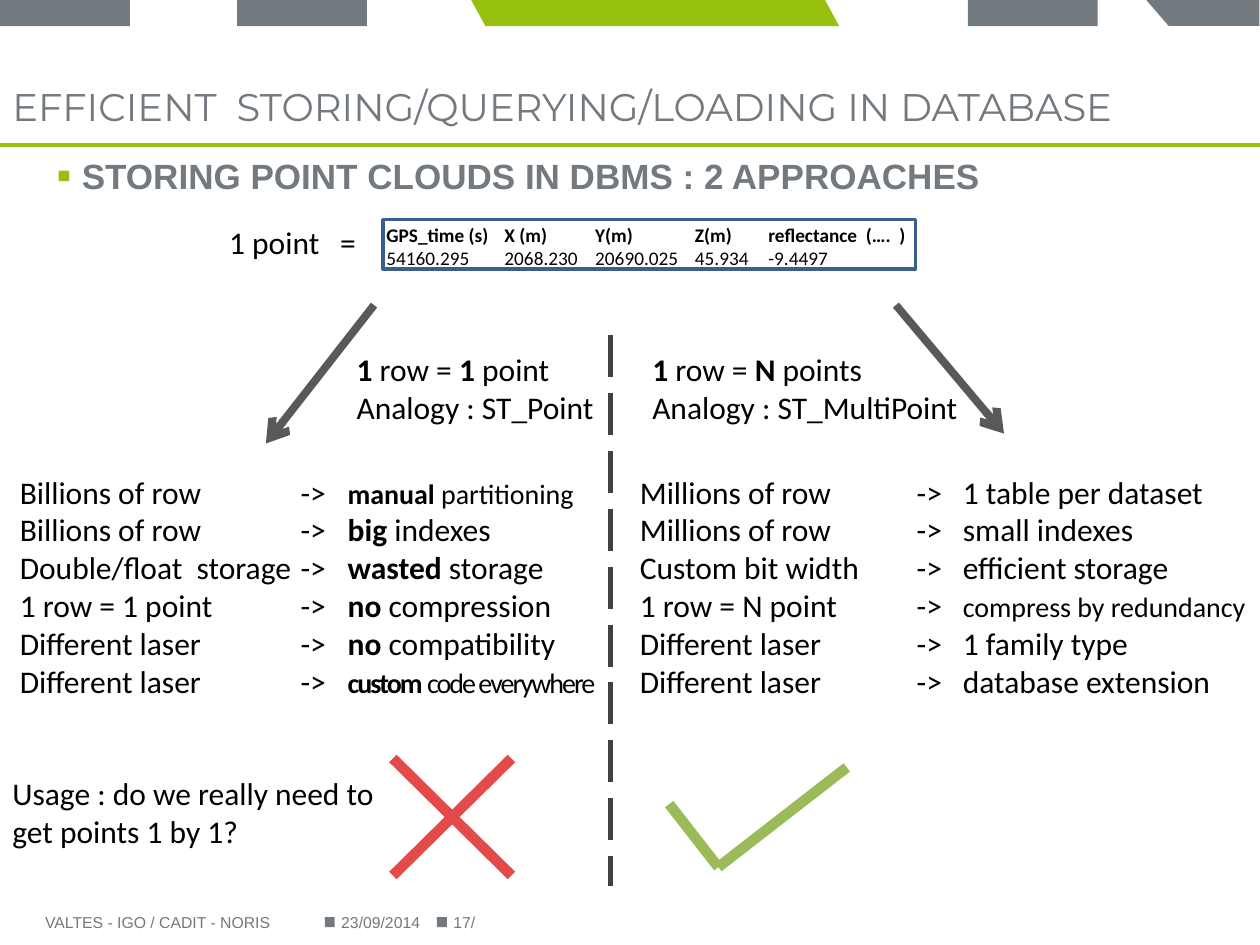
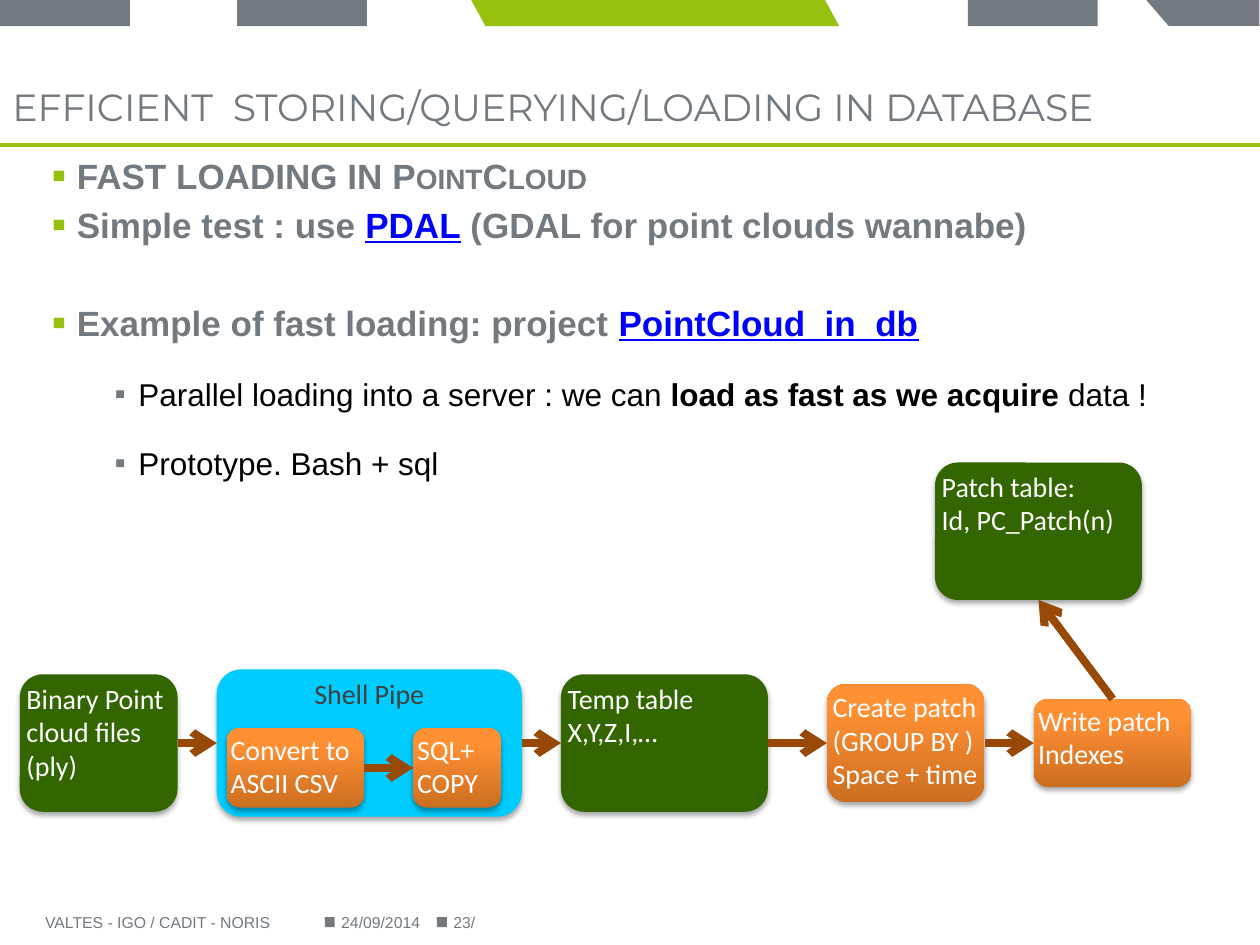
from lxml import etree
from pptx import Presentation
from pptx import util as u
from pptx.dml.color import RGBColor
from pptx.enum import dml, shapes, text
from pptx.oxml import ns

GREY = RGBColor(0x72, 0x79, 0x7F)
LIME = RGBColor(0x97, 0xBF, 0x0D)
BLACK = RGBColor(0, 0, 0)
WHITE = RGBColor(0xFF, 0xFF, 0xFF)
LINK_BLUE = RGBColor(0, 0, 0xFF)
FRAME_BLUE = RGBColor(0x3A, 0x5F, 0x8C)
ARROW_GREY = RGBColor(0x59, 0x59, 0x59)
DARK_GREY = RGBColor(0x40, 0x40, 0x40)
CROSS_RED = RGBColor(0xE4, 0x4A, 0x4A)
CHECK_GREEN = RGBColor(0x9B, 0xBB, 0x59)
TABLE_GREEN = RGBColor(0x33, 0x66, 0)
PIPE_CYAN = RGBColor(0, 0xCC, 0xFF)
STEP_DARK = RGBColor(0xCC, 0x6E, 0x20)
STEP_LIGHT = RGBColor(0xFF, 0x90, 0x34)
FLOW_BROWN = RGBColor(0x98, 0x48, 0x07)

SHAPE = shapes.MSO_SHAPE
MIDDLE = text.MSO_ANCHOR.MIDDLE
TOP, LEFT, BOTTOM, RIGHT = range(4)
BOLD = {"bold": True}
LINK = {"color": LINK_BLUE, "underline": True}
FLOW_MIDDLE = 14.98


def add_xml(parent, tag, **attributes):
    values = {name: str(value) for name, value in attributes.items()}
    return etree.SubElement(parent, ns.qn(tag), values)


def cm(*lengths):
    return [u.Cm(length) for length in lengths]


def add_run(paragraph, words, font, size, color, bold=False, underline=None, **extra):
    run = paragraph.add_run()
    run.text = words
    run.font.name = font
    run.font.size = u.Pt(size)
    run.font.color.rgb = color
    run.font.bold = bold
    run.font.underline = underline
    for name, value in extra.items():
        run.font._element.set(name, value)


def fill_paragraph(paragraph, runs, **style):
    for run in [runs] if isinstance(runs, str) else runs:
        words, changes = (run, {}) if isinstance(run, str) else run
        add_run(paragraph, words, **{**style, **changes})


def write(frame, paragraphs, tabs=(), font="Calibri", size=18, color=BLACK, **style):
    frame.word_wrap = True
    for index, runs in enumerate(paragraphs):
        paragraph = frame.paragraphs[0] if index == 0 else frame.add_paragraph()
        fill_paragraph(paragraph, runs, font=font, size=size, color=color, **style)
        if tabs:
            stops = add_xml(paragraph._p.get_or_add_pPr(), "a:tabLst")
            for tab in tabs:
                add_xml(stops, "a:tab", pos=u.Cm(tab), algn="l")


def clear_margins(frame):
    frame.margin_left = frame.margin_top = frame.margin_right = frame.margin_bottom = 0


def add_text(parent, box, paragraphs, anchor=text.MSO_ANCHOR.TOP, inset=True, **style):
    frame = parent.add_textbox(*cm(*box)).text_frame
    frame.vertical_anchor = anchor
    if not inset:
        clear_margins(frame)
    write(frame, paragraphs, **style)


def add_block(parent, kind, box, color):
    shape = parent.add_shape(kind, *cm(*box))
    shape.shadow.inherit = False
    shape.fill.solid()
    shape.fill.fore_color.rgb = color
    shape.line.fill.background()
    return shape


def add_line(parent, start, end, color, width, dash=None, arrow=False):
    line = parent.add_connector(shapes.MSO_CONNECTOR.STRAIGHT, *cm(*start, *end))
    line.line.color.rgb = color
    line.line.width = u.Pt(width)
    if dash:
        line.line.dash_style = dash
    if arrow:
        add_xml(line.line._get_or_add_ln(), "a:tailEnd", type="arrow")
    add_xml(line._element.spPr, "a:effectLst")
    return line


def add_bullet(frame, runs, level=0, gap=4):
    first = not frame.paragraphs[0].runs
    paragraph = frame.paragraphs[0] if first else frame.add_paragraph()
    size, color, bold = ((20, GREY, True), (18, BLACK, False))[level]
    margin, hanging, percent = ((0.51, 0.51, 120), (1.75, 0.48, 100))[level]
    fill_paragraph(paragraph, runs, font="Arial", size=size, color=color, bold=bold)
    paragraph.level = level
    paragraph.space_before = u.Pt(gap)
    properties = paragraph._p.get_or_add_pPr()
    properties.set("marL", str(u.Cm(margin)))
    properties.set("indent", str(-u.Cm(hanging)))
    bullet_color = add_xml(properties, "a:buClr")
    add_xml(bullet_color, "a:srgbClr", val=(LIME, GREY)[level])
    add_xml(properties, "a:buSzPct", val=percent * 1000)
    add_xml(properties, "a:buFont", typeface="Arial")
    add_xml(properties, "a:buChar", char="▪")


def add_body(slide, box):
    frame = slide.shapes.add_textbox(*cm(*box)).text_frame
    frame.word_wrap = True
    return frame


def start_slide(presentation, title_width, title_size, date, number):
    slide = presentation.slides.add_slide(presentation.slide_layouts[6])
    parent = slide.shapes
    add_line(parent, (0, 2.92), (25.4, 2.92), LIME, 2.25)
    for left in (0, 4.78, 19.51):
        add_block(parent, SHAPE.RECTANGLE, (left, 0, 2.62, 0.53), GREY)
    center_band = add_block(parent, SHAPE.PARALLELOGRAM, (9.5, 0, 7.42, 0.53), LIME)
    center_band.adjustments[0] = 0.545
    center_band._element.spPr.xfrm.set("flipH", "1")
    corner_band = add_block(parent, SHAPE.FLOWCHART_MANUAL_INPUT, (23.98, -0.89, 0.53, 2.29), GREY)
    corner_band.rotation = 270
    for left in (6.55, 8.81):
        add_block(parent, SHAPE.RECTANGLE, (left, 18.49, 0.2, 0.2), GREY)
    add_text(parent, (0, 1.37, title_width, 1.55),
             ["EFFICIENT  STORING/QUERYING/LOADING IN DATABASE"],
             MIDDLE, font="Montserrat", size=title_size, color=GREY)
    footers = ((6.63, 3.12, date), (0.66, 5.89, "VALTES - IGO / CADIT - NORIS"), (8.89, 5.92, number))
    for left, width, words in footers:
        add_text(parent, (left, 18.08, width, 1.02), [words], MIDDLE, font="Arial", size=9, color=GREY)
    return slide


def add_point_record(slide):
    add_text(slide.shapes, (4.37, 4.37, 3.76, 1.02), ["1 point\t="], tabs=[2.24])
    group = slide.shapes.add_group_shape().shapes
    add_text(group, (7.54, 4.37, 11.13, 1.19), [
        [("GPS_time (s)\tX (m)\tY(m)\tZ(m)\treflectance  (….  )", BOLD)],
        "54160.295\t2068.230\t20690.025\t45.934\t-9.4497",
    ], size=11, tabs=[2.38, 4.21, 6.22, 7.7])
    frame = add_block(group, SHAPE.RECTANGLE, (7.72, 4.43, 10.74, 0.99), WHITE)
    frame.fill.background()
    frame.line.color.rgb = FRAME_BLUE
    frame.line.width = u.Pt(2)


def add_strokes(slide, strokes, color):
    group = slide.shapes.add_group_shape().shapes
    for start, end in strokes:
        add_line(group, start, end, color, 6)


def build_approaches(presentation):
    slide = start_slide(presentation, 25, 22, "23/09/2014", "17/")
    parent = slide.shapes
    add_text(parent, (12.9, 9.53, 12.5, 9.52), [
        "Millions of row\t->\t1 table per dataset",
        "Millions of row\t->\tsmall indexes",
        "Custom bit width\t->\tefficient storage",
        ["1 row = N point\t->\t", ("compress by redundancy", {"size": 16})],
        "Different laser\t->\t1 family type",
        "Different laser\t->\tdatabase extension",
    ], inset=False, tabs=[5.58, 6.51])
    tight = {"size": 16, "spc": "-110"}
    add_text(parent, (0.4, 9.53, 11.71, 9.52), [
        ["Billions of row\t->\t", ("manual ", {"size": 16, **BOLD}), ("partitioning", {"size": 16})],
        ["Billions of row\t->\t", ("big", BOLD), " indexes"],
        ["Double/float  storage\t->\t", ("wasted", BOLD), " storage"],
        ["1 row = 1 point\t->\t", ("no", BOLD), " compression"],
        ["Different laser\t->\t", ("no", BOLD), " compatibility"],
        ["Different laser\t->\t", ("custom", {**tight, **BOLD}), (" code everywhere", tight)],
    ], inset=False, tabs=[5.66, 6.61])
    add_bullet(add_body(slide, (0.89, 2.98, 23.24, 1.19)), "STORING POINT CLOUDS IN DBMS : 2 APPROACHES")
    add_point_record(slide)
    add_line(parent, (7.54, 6.15), (5.36, 8.94), ARROW_GREY, 4.5, arrow=True)
    add_line(parent, (18.06, 6.15), (20.24, 8.74), ARROW_GREY, 4.5, arrow=True)
    add_text(parent, (6.94, 6.94, 5.77, 1.8),
             [[("1", BOLD), " row = ", ("1 ", BOLD), "point"], "Analogy : ST_Point"])
    add_text(parent, (12.9, 6.94, 8.53, 1.8),
             [[("1", BOLD), " row = ", ("N", BOLD), " points"], "Analogy : ST_MultiPoint"])
    add_strokes(slide, [((7.92, 17.65), (10.31, 15.29)), ((7.92, 15.29), (10.31, 17.65))], CROSS_RED)
    add_strokes(slide, [((13.49, 16.21), (14.48, 17.48)), ((14.48, 17.48), (17.07, 15.47))], CHECK_GREEN)
    add_line(parent, (12.3, 6.76), (12.3, 17.86), DARK_GREY, 3, dash=dml.MSO_LINE.LONG_DASH)
    add_text(parent, (0, 15.48, 8.33, 1.8), ["Usage : do we really need to get points 1 by 1?"])


def add_node(parent, left, width, height, paragraphs, color=None, middle=FLOW_MIDDLE,
             font_color=WHITE, align=text.PP_ALIGN.LEFT):
    box = (left, middle - height / 2, width, height)
    node = add_block(parent, SHAPE.ROUNDED_RECTANGLE, box, color or STEP_LIGHT)
    if color is None:
        node.fill.gradient()
        node.fill.gradient_angle = 90
        for stop, position, shade in zip(node.fill.gradient_stops, (0, 0.8), (STEP_DARK, STEP_LIGHT)):
            stop.position = position
            stop.color.rgb = shade
    effects = node._element.spPr.find(ns.qn("a:effectLst"))
    shadow = add_xml(effects, "a:outerShdw", blurRad=u.Pt(3.1), dist=u.Pt(1.8), dir=5400000, rotWithShape=0)
    shadow_color = add_xml(shadow, "a:srgbClr", val=BLACK)
    add_xml(shadow_color, "a:alpha", val=35000)
    frame = node.text_frame
    frame.vertical_anchor = text.MSO_ANCHOR.TOP
    clear_margins(frame)
    write(frame, paragraphs, size=16, color=font_color)
    for paragraph in frame.paragraphs:
        paragraph.alignment = align
    return node


def connect(parent, source, target, source_side=RIGHT, target_side=LEFT):
    arrow = add_line(parent, (0, 0), (1, 1), FLOW_BROWN, 4.5, arrow=True)
    arrow.begin_connect(source, source_side)
    arrow.end_connect(target, target_side)


def add_loading_flow(slide):
    parent = slide.shapes
    files = add_node(parent, 0.4, 3.18, 2.77, ["Binary Point cloud files", "(ply)"], TABLE_GREEN)
    group = parent.add_group_shape().shapes
    pipe = add_node(group, 4.37, 6.15, 2.97, ["Shell Pipe"], PIPE_CYAN,
                    font_color=DARK_GREY, align=text.PP_ALIGN.CENTER)
    convert = add_node(group, 4.57, 2.77, 1.6, ["Convert to ASCII CSV"], middle=15.48)
    copy_step = add_node(group, 8.33, 1.78, 1.6, ["SQL+ COPY"], middle=15.48)
    create = add_node(parent, 16.67, 3.18, 2.39, ["Create patch", "(GROUP BY )", "Space + time"])
    temp_table = add_node(parent, 11.31, 4.17, 2.77, ["Temp table", "X,Y,Z,I,…"], TABLE_GREEN)
    write_step = add_node(parent, 20.84, 3.18, 1.78, ["Write patch", "Indexes"])
    patch_table = add_node(parent, 18.85, 4.17, 2.77, ["Patch table:", "Id, PC_Patch(n)"],
                           TABLE_GREEN, middle=10.71)
    connect(parent, convert, copy_step)
    chain = [files, pipe, temp_table, create, write_step]
    for source, target in zip(chain, chain[1:]):
        connect(parent, source, target)
    connect(parent, write_step, patch_table, TOP, BOTTOM)


def build_fast_loading(presentation):
    slide = start_slide(presentation, 25.4, 21.6, "24/09/2014", "23/")
    body = add_body(slide, (0.79, 2.98, 23.24, 9.12))
    add_bullet(body, ["FAST LOADING IN ", ("PointCloud", {"cap": "small"})])
    add_bullet(body, ["Simple test : use ", ("PDAL", LINK), " (GDAL for point clouds wannabe)"])
    add_bullet(body, ["Example of fast loading: project ", ("PointCloud_in_db", LINK)], gap=32)
    add_bullet(body, ["Parallel loading into a server : we can ",
                      ("load as fast as we acquire", BOLD), " data !"], level=1, gap=18)
    add_bullet(body, "Prototype. Bash + sql", level=1, gap=18)
    add_loading_flow(slide)


def main():
    presentation = Presentation()
    presentation.slide_width = u.Cm(25.4)
    presentation.slide_height = u.Cm(19.05)
    build_approaches(presentation)
    build_fast_loading(presentation)
    presentation.save("out.pptx")


if __name__ == "__main__":
    main()
